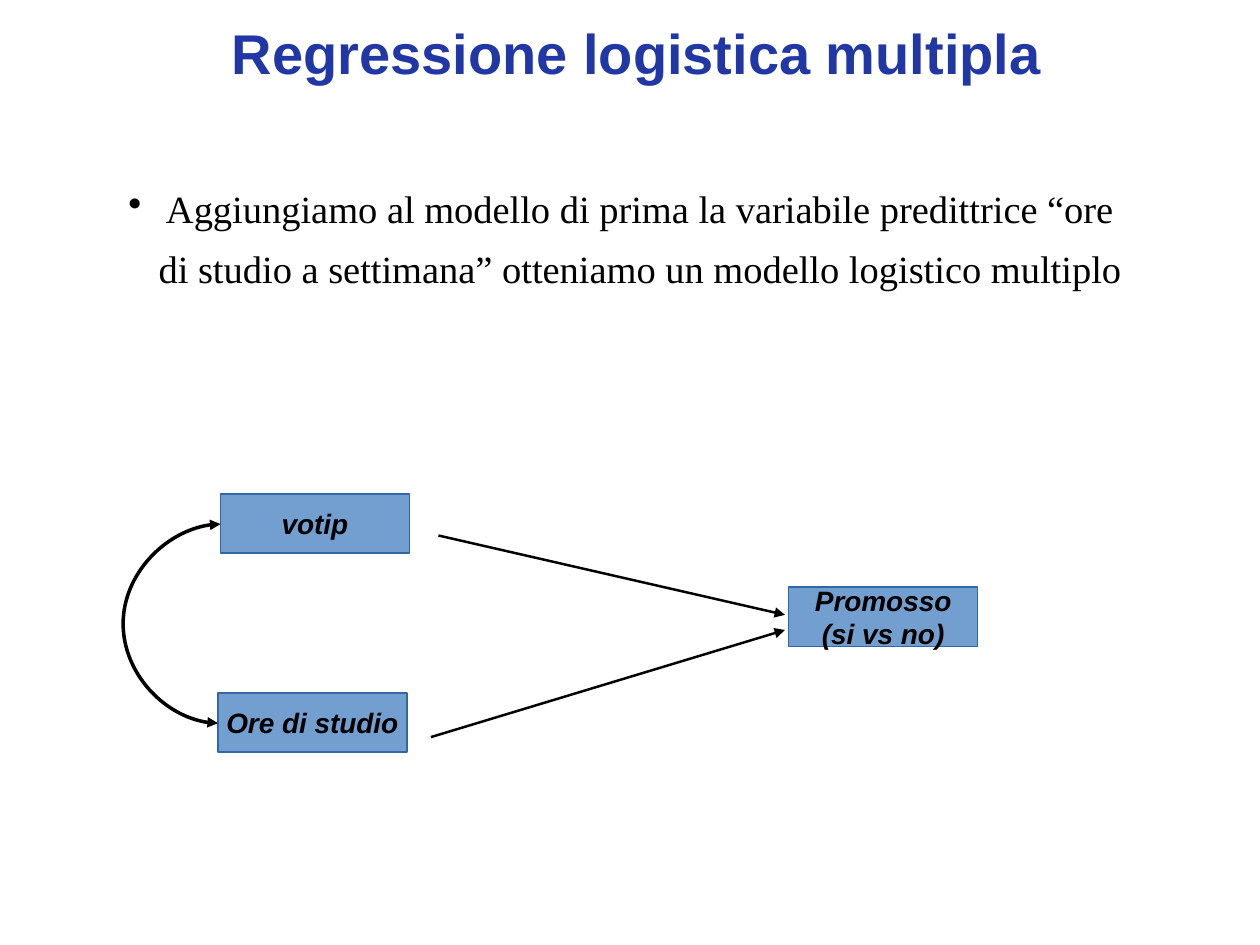
from lxml.etree import SubElement
from pptx import Presentation
from pptx.dml.color import RGBColor
from pptx.enum.shapes import MSO_CONNECTOR as Link, MSO_SHAPE as Preset
from pptx.enum.text import MSO_ANCHOR as Anchor, PP_ALIGN as Align
from pptx.oxml.ns import qn
from pptx.util import Inches, Pt

BLACK = RGBColor(0x00, 0x00, 0x00)
TITLE_BLUE = RGBColor(0x21, 0x37, 0xA5)
BOX_FILL = RGBColor(0x72, 0x9F, 0xCF)
BOX_LINE = RGBColor(0x34, 0x65, 0xA4)


class PathDiagram:
    """Draws a titled slide with variable boxes and the arrows between them."""

    sans, serif = "Arial", "Times New Roman"
    box_width, box_height = Inches(1.5), Inches(0.47)

    def __init__(self, slide):
        self.slide = slide

    def style(self, para, font, size, color=BLACK, bold=False, italic=False):
        for span in para.runs:
            span.font.name, span.font.size = font, Pt(size)
            span.font.bold, span.font.italic = bold, italic
            span.font.color.rgb = color

    def title(self, text, left, top, width, height):
        box = self.slide.shapes.title
        box.left, box.top = Inches(left), Inches(top)
        box.width, box.height = Inches(width), Inches(height)
        box.text_frame.text = text
        box.text_frame.vertical_anchor = Anchor.MIDDLE
        para = box.text_frame.paragraphs[0]
        para.alignment = Align.CENTER
        self.style(para, self.sans, 32, TITLE_BLUE, bold=True)

    def bullet(self, text, left, top, width, height):
        box = self.slide.shapes.add_textbox(
            Inches(left), Inches(top), Inches(width), Inches(height))
        box.text_frame.word_wrap = True
        box.text_frame.text = text
        para = box.text_frame.paragraphs[0]
        para.line_spacing = 1.3
        props = para._p.get_or_add_pPr()
        props.set("marL", str(Inches(0.24)))
        props.set("indent", str(-Inches(0.24)))
        SubElement(props, qn("a:buChar"), char="•")
        self.style(para, self.serif, 22)

    def variable(self, text, left, top):
        box = self.slide.shapes.add_shape(
            Preset.RECTANGLE, Inches(left), Inches(top), self.box_width, self.box_height)
        box.shadow.inherit = False
        box.fill.solid()
        box.fill.fore_color.rgb = BOX_FILL
        box.line.color.rgb = BOX_LINE
        box.line.width = Pt(0)
        frame = box.text_frame
        frame.text = text
        frame.word_wrap = False
        frame.vertical_anchor = Anchor.MIDDLE
        for para in frame.paragraphs:
            para.alignment = Align.CENTER
            self.style(para, self.sans, 16, bold=True, italic=True)

    def arrow(self, start, end, kind=Link.STRAIGHT, width=1.42, ends=("tailEnd",)):
        link = self.slide.shapes.add_connector(kind, *map(Inches, start + end))
        link.line.color.rgb = BLACK
        link.line.width = Pt(width)
        for name in ends:
            SubElement(link.line._get_or_add_ln(), qn(f"a:{name}"), type="triangle")
        SubElement(link._element.spPr, qn("a:effectLst"))
        return link

    def correlation(self, start, end, bulge):
        link = self.arrow(start, end, Link.CURVE, 0, ("headEnd", "tailEnd"))
        ratio = round(bulge / (end[0] - start[0]) * 100000)
        guides = link._element.spPr.find(qn("a:prstGeom")).get_or_add_avLst()
        SubElement(guides, qn("a:gd"), name="adj1", fmla=f"val {ratio}")


def main():
    deck = Presentation()
    deck.slide_width, deck.slide_height = Inches(10), Inches(7.5)
    diagram = PathDiagram(deck.slides.add_slide(deck.slide_layouts[5]))
    diagram.title("Regressione logistica multipla", 1.48, 0.08, 7.15, 0.67)
    diagram.bullet(
        " Aggiungiamo al modello di prima la variabile predittrice “ore di studio "
        "a settimana” otteniamo un modello logistico multiplo", 0.92, 1.31, 8.17, 2.14)
    diagram.arrow((3.42, 5.85), (6.23, 5))
    diagram.arrow((3.48, 4.25), (6.23, 4.88))
    diagram.variable("votip", 1.75, 3.92)
    diagram.variable("Promosso\n(si vs no)", 6.26, 4.66)
    diagram.variable("Ore di studio", 1.73, 5.5)
    diagram.correlation((1.73, 5.74), (1.75, 4.16), -0.75)
    deck.save("out.pptx")


if __name__ == "__main__":
    main()
